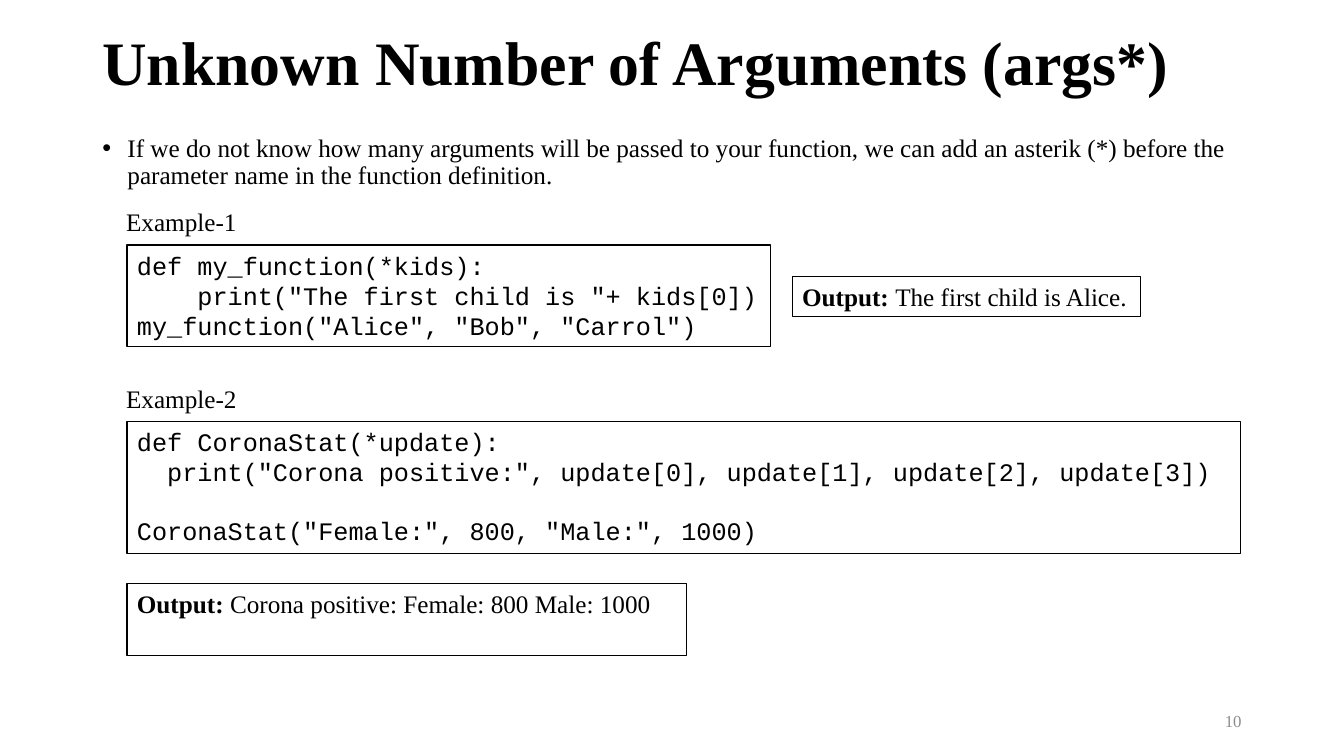
from lxml import etree
from pptx import Presentation
from pptx.dml.color import RGBColor
from pptx.enum.shapes import MSO_SHAPE
from pptx.enum.text import MSO_ANCHOR, PP_ALIGN
from pptx.oxml.ns import qn
from pptx.util import Pt

RECT = MSO_SHAPE.RECTANGLE
TOP, MIDDLE = MSO_ANCHOR.TOP, MSO_ANCHOR.MIDDLE
LEFT, RIGHT = PP_ALIGN.LEFT, PP_ALIGN.RIGHT

COLORS = {"ink": "000000", "number": "8C8C8C"}
SERIF, MONO = "Times New Roman", "Courier New"
SIZE = 18
CODE_CHAR = 10.8  # width of one monospaced character
CODE_LINE = 20.4

TITLE = "Unknown Number of Arguments (args*)"
INTRO = ("If we do not know how many arguments will be passed to your function, "
         "we can add an asterik (*) before the parameter name in the function definition.")
PAGE = "10"
# Code lines: (indent in characters, blank lines before, text)
EXAMPLES = [
    {"label": "Example-1", "label_top": 144,
     "code": [(0, 0, "def my_function(*kids):"),
              (4, 0, 'print("The first child is "+ kids[0])'),
              (0, 0, 'my_function("Alice", "Bob", "Carrol")')],
     "code_box": (90.7, 175, 459.4, 72.7),
     "output": "The first child is Alice.",
     "output_box": (565.9, 197.3, 249.1, 29.1)},
    {"label": "Example-2", "label_top": 270,
     "code": [(0, 0, "def CoronaStat(*update):"),
              (2, 0, 'print("Corona positive:", update[0], update[1], update[2], update[3])'),
              (0, 1, 'CoronaStat("Female:", 800, "Male:", 1000)')],
     "code_box": (90.7, 301, 795.6, 94.3),
     "output": "Corona positive: Female: 800 Male: 1000",
     "output_box": (90.7, 416.9, 399.6, 51.1)},
]

prs = Presentation()
prs.slide_width, prs.slide_height = Pt(960), Pt(540)
s = prs.slides.add_slide(prs.slide_layouts[6])


def color(name):
    return RGBColor.from_string(COLORS[name])


def add_text(box, paragraphs, framed=False, anchor=TOP, align=LEFT, font=SERIF,
             size=SIZE, ink="ink", spacing=1.0, bullet=None):
    """Add a text box, or an outlined rectangle when framed.

    Each paragraph is (indent, space before, [(text, bold), ...]), in points.
    """
    frame = [Pt(v) for v in box]
    if framed:
        sp = s.shapes.add_shape(RECT, *frame)
        sp.shadow.inherit = False
        sp.fill.background()
        sp.line.color.rgb = color("ink")
        sp.line.width = Pt(0.75)
    else:
        sp = s.shapes.add_textbox(*frame)
    tf = sp.text_frame
    tf.word_wrap = True
    tf.vertical_anchor = anchor
    for i, (indent, before, runs) in enumerate(paragraphs):
        p = tf.paragraphs[0] if i == 0 else tf.add_paragraph()
        p.alignment, p.line_spacing, p.space_before = align, spacing, Pt(before)
        pPr = p._p.get_or_add_pPr()
        pPr.set("marL", str(Pt(indent)))
        if bullet:
            pPr.set("indent", str(-Pt(indent)))
            etree.SubElement(pPr, qn("a:buFont")).set("typeface", "Arial")
            etree.SubElement(pPr, qn("a:buChar")).set("char", bullet)
        for text, bold in runs:
            r = p.add_run()
            r.text = text
            r.font.name, r.font.size, r.font.bold = font, Pt(size), bold
            r.font.color.rgb = color(ink)


add_text((66, 20.5, 828, 53), [(0, 0, [(TITLE, True)])],
         anchor=MIDDLE, size=44.1, spacing=0.9)
add_text((66, 93.6, 828, 50), [(18, 10, [(INTRO, False)])], spacing=0.9, bullet="•")
add_text((678, 500.4, 216, 28.8), [(0, 0, [(PAGE, False)])],
         anchor=MIDDLE, align=RIGHT, size=12, ink="number")

for example in EXAMPLES:
    add_text((83, example["label_top"], 95, 29.1), [(0, 0, [(example["label"], False)])])
    code = [(chars * CODE_CHAR, blank * CODE_LINE, [(text, False)])
            for chars, blank, text in example["code"]]
    add_text(example["code_box"], code, framed=True, font=MONO)
    add_text(example["output_box"],
             [(0, 0, [("Output: ", True), (example["output"], False)])], framed=True)

prs.save("out.pptx")
